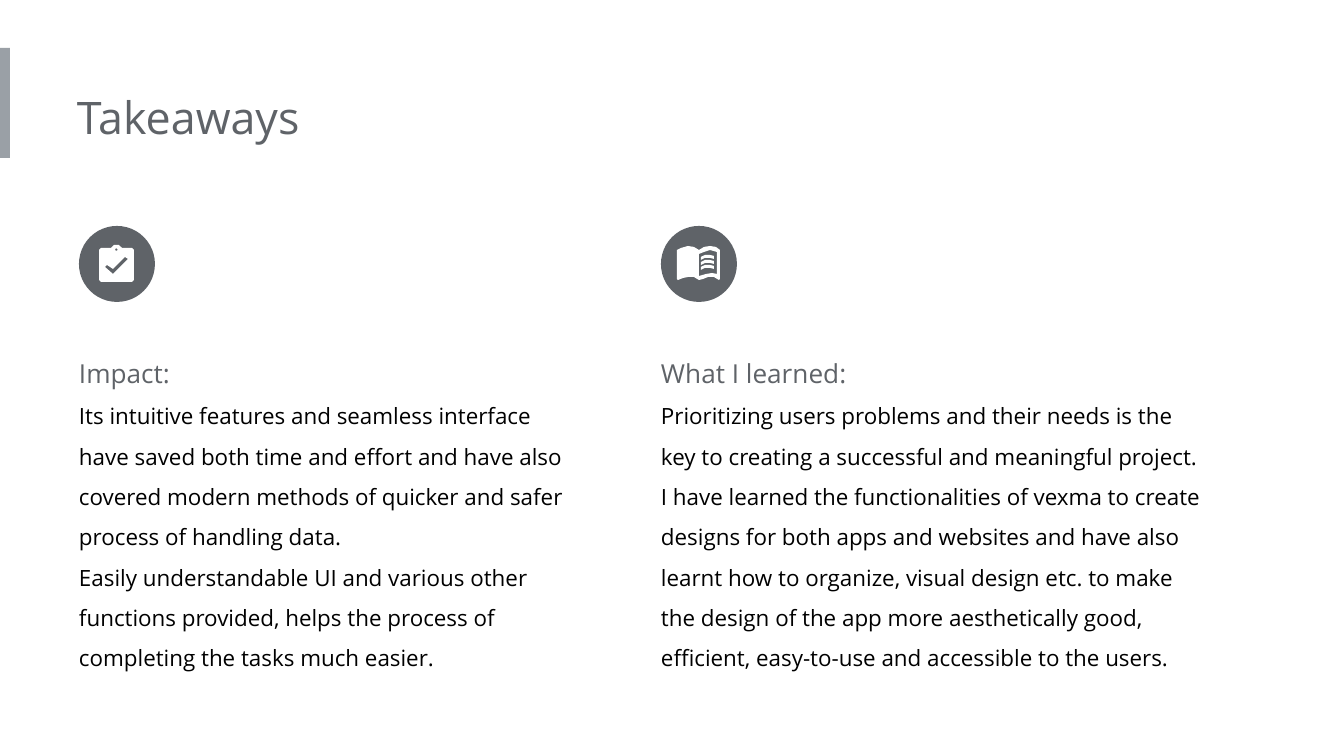
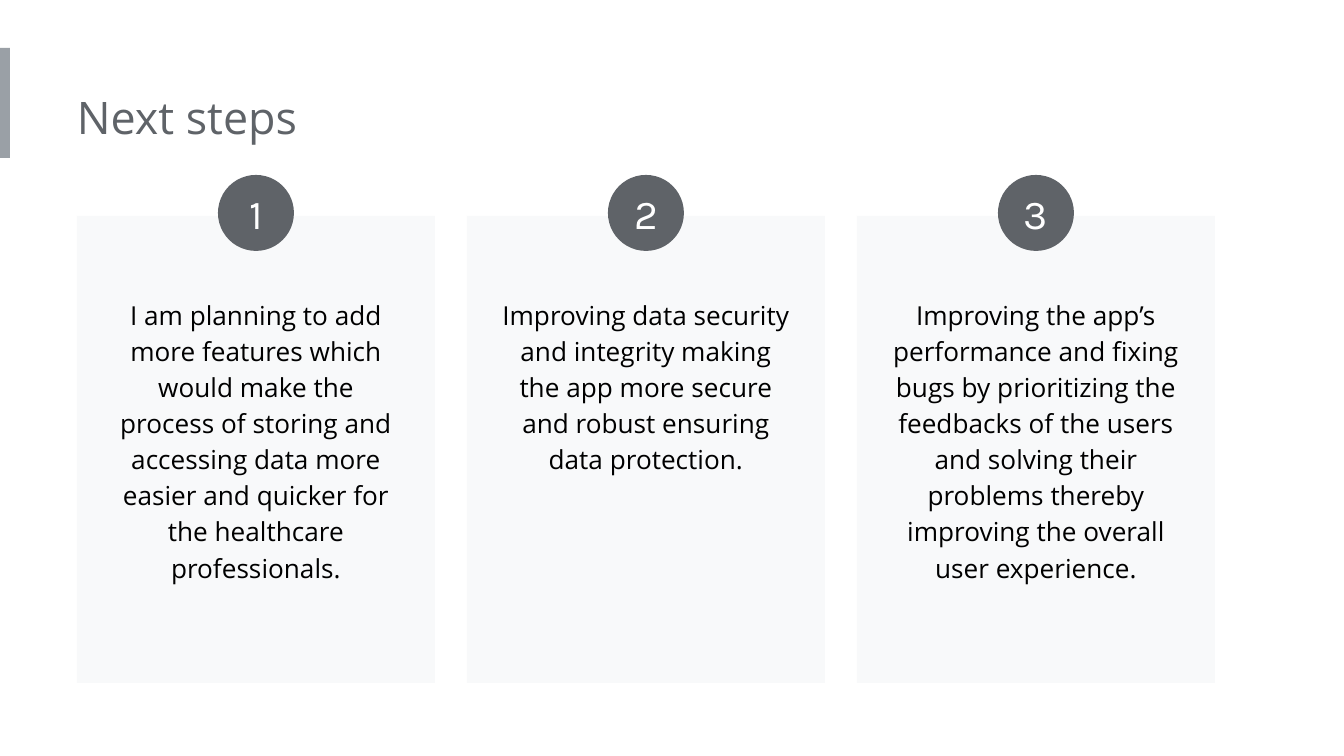
from lxml.etree import SubElement
from pptx import Presentation
from pptx.dml.color import RGBColor
from pptx.enum.shapes import MSO_SHAPE as Kind
from pptx.enum.text import MSO_ANCHOR as Anchor, MSO_AUTO_SIZE as Fit, PP_ALIGN as Align
from pptx.oxml.ns import qn
from pptx.util import Pt

PX = 914400 / 134.4
GRAY = RGBColor(0x5F, 0x63, 0x68)
BAND = RGBColor(0x9A, 0xA0, 0xA6)
PALE = RGBColor(0xF8, 0xF9, 0xFA)
BLACK = RGBColor(0, 0, 0)
WHITE = RGBColor(0xFF, 0xFF, 0xFF)
FONT = "Open Sans"
PAD = 13
DISC = 76

# Each icon is a list of shapes, each shape a list of outlines inside the disc.
BOARD = [[
    [(22, 22), (32, 22), (35, 19), (40, 19), (43, 22), (53, 22), (55, 24),
     (55, 54), (53, 56), (22, 56), (20, 54), (20, 24)],
    [(37, 22), (39, 24), (37, 25), (36, 24)],
    [(34, 48), (26, 41), (28, 39), (34, 43), (46, 31), (49, 33)],
]]
PAGES = [
    [(16, 24), (20, 22), (27, 20), (33, 21), (38, 24), (43, 21), (49, 20),
     (55, 21), (59, 24), (59, 53), (58, 54), (53, 51), (47, 51), (42, 53),
     (38, 54), (33, 51), (27, 51), (22, 52), (17, 54), (16, 53)],
    [(38, 28), (43, 26), (49, 24), (56, 26), (56, 48), (51, 47), (45, 48), (38, 50)],
]
LINE = [(40, 31), (44, 29), (49, 29), (53, 30), (53, 33), (49, 32), (44, 32), (40, 34)]
BOOK = [PAGES] + [[[(x, y + drop) for x, y in LINE]] for drop in (0, 5, 10)]

COLUMNS = [
    (79, 500, BOARD, "Impact:", [
        "Its intuitive features and seamless interface have saved both time and effort "
        "and have also covered modern methods of quicker and safer process of handling data.",
        "Easily understandable UI and various other functions provided, helps the process "
        "of completing the tasks much easier."]),
    (661, 556, BOOK, "What I learned:", [
        "Prioritizing users problems and their needs is the key to creating a successful "
        "and meaningful project.",
        "I have learned the functionalities of vexma to create designs for both apps and "
        "websites and have also learnt how to organize, visual design etc. to make the "
        "design of the app more aesthetically good, efficient, easy-to-use and accessible "
        "to the users."]),
]
STEPS = [
    (305, "I am planning to add more features which would make the process of storing and "
          "accessing data more easier and quicker for the healthcare professionals."),
    (323, "Improving data security and integrity making the app more secure and robust "
          "ensuring data protection."),
    (327, "Improving the app’s performance and fixing bugs by prioritizing the feedbacks of "
          "the users and solving their problems thereby improving the overall user "
          "experience."),
]


def emu(*sizes):
    return [round(size * PX) for size in sizes]


def place(shape, *box):
    shape.left, shape.top, shape.width, shape.height = emu(*box)


def paint(shape, color):
    shape.shadow.inherit = False
    shape.fill.solid()
    shape.fill.fore_color.rgb = color
    shape.line.fill.background()


def block(slide, kind, box, color):
    shape = slide.shapes.add_shape(kind, *emu(*box))
    paint(shape, color)
    return shape


def frame(shape, left=PAD, pad=PAD, anchor=Anchor.TOP):
    """Set the wrapping, insets and anchor of a shape's text."""
    text = shape.text_frame
    text.word_wrap = True
    text.auto_size = Fit.NONE
    text.vertical_anchor = anchor
    text.margin_left, text.margin_top, text.margin_right, text.margin_bottom = emu(
        left, pad, pad, pad)
    return text


def write(para, words, size, color, font=FONT, align=Align.LEFT, gap=1.0):
    para.alignment = align
    para.line_spacing = gap
    para.space_before = Pt(0)
    run = para.add_run()
    run.text = words
    run.font.size = Pt(size)
    run.font.name = font
    run.font.color.rgb = color


def plain(para):
    """Drop the bullet and indent that a body placeholder gives."""
    props = para._p.get_or_add_pPr()
    props.set("marL", "0")
    props.set("indent", "0")
    SubElement(props, qn("a:buNone"))


def start(deck, layout, title):
    slide = deck.slides.add_slide(deck.slide_layouts.get_by_name(layout))
    block(slide, Kind.RECTANGLE, (0, 48, 10, 110), BAND)
    head = slide.shapes.title
    place(head, 77, 77, 724, 82)
    write(frame(head, left=0).paragraphs[0], title, 24, GRAY)
    return slide


def disc(slide, x, y):
    return block(slide, Kind.OVAL, (x, y, DISC, DISC), GRAY)


def icon(slide, x, y, parts):
    disc(slide, x, y)
    for first, *rest in parts:
        pen = slide.shapes.build_freeform(*first[0], scale=PX)
        pen.add_line_segments(first[1:])
        for ring in rest:
            pen.move_to(*ring[0])
            pen.add_line_segments(ring[1:])
        paint(pen.convert_to_shape(*emu(x, y)), WHITE)


def column(slide, body, x, y, width, parts, head, items):
    icon(slide, x, y, parts)
    place(body, x, y + 103, width, 360)
    text = frame(body, left=0)
    rows = [(head, 14, GRAY)] + [(item, 12, BLACK) for item in items]
    for i, row in enumerate(rows):
        para = text.add_paragraph() if i else text.paragraphs[0]
        plain(para)
        write(para, *row, gap=1.5)


def card(slide, x, y, number, wide, words):
    width = 358
    block(slide, Kind.RECTANGLE, (x, y, width, 467), PALE)
    box = slide.shapes.add_textbox(*emu(x + (width - wide) / 2, y + 66, wide, 319))
    write(frame(box).paragraphs[0], words, 14, BLACK, align=Align.CENTER, gap=1.15)
    badge = disc(slide, x + (width - DISC) / 2, y - 41)
    text = frame(badge, left=0, pad=0, anchor=Anchor.MIDDLE)
    write(text.paragraphs[0], str(number), 22, WHITE, "Karla", Align.CENTER)


def lessons(deck):
    slide = start(deck, "Two Content", "Takeaways")
    for i, (x, *rest) in enumerate(COLUMNS, 1):
        column(slide, slide.placeholders[i], x, 226, *rest)


def plans(deck):
    slide = start(deck, "Title Only", "Next steps")
    for i, step in enumerate(STEPS):
        card(slide, 77 + 390 * i, 216, i + 1, *step)


def main():
    deck = Presentation()
    deck.slide_width, deck.slide_height = emu(1344, 756)
    lessons(deck)
    plans(deck)
    deck.save("out.pptx")


if __name__ == "__main__":
    main()
